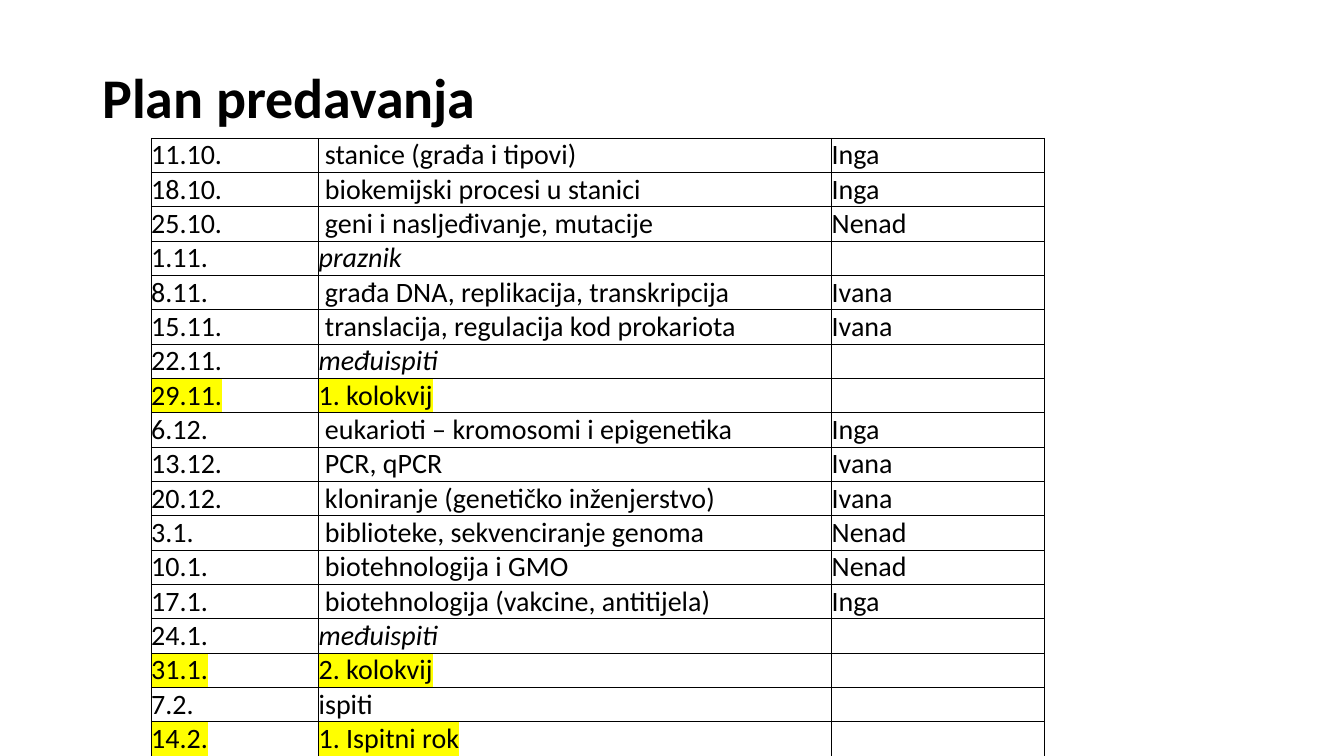
"""Build the lecture plan slide with its schedule table."""
import pptx
import pptx.dml.color
import pptx.enum.text
import pptx.oxml
import pptx.oxml.ns
import pptx.util

Cm = pptx.util.Cm
Pt = pptx.util.Pt

TITLE = "Plan predavanja"
SCHEDULE = [
    ("11.10.", "stanice (građa i tipovi)", "Inga"),
    ("18.10.", "biokemijski procesi u stanici", "Inga"),
    ("25.10.", "geni i nasljeđivanje, mutacije", "Nenad"),
    ("1.11.", "praznik", ""),
    ("8.11.", "građa DNA, replikacija, transkripcija", "Ivana"),
    ("15.11.", "translacija, regulacija kod prokariota", "Ivana"),
    ("22.11.", "međuispiti", ""),
    ("29.11.", "1. kolokvij", ""),
    ("6.12.", "eukarioti – kromosomi i epigenetika", "Inga"),
    ("13.12.", "PCR, qPCR", "Ivana"),
    ("20.12.", "kloniranje (genetičko inženjerstvo)", "Ivana"),
    ("3.1.", "biblioteke, sekvenciranje genoma", "Nenad"),
    ("10.1.", "biotehnologija i GMO", "Nenad"),
    ("17.1.", "biotehnologija (vakcine, antitijela)", "Inga"),
    ("24.1.", "međuispiti", ""),
    ("31.1.", "2. kolokvij", ""),
    ("7.2.", "ispiti", ""),
    ("14.2.", "1. Ispitni rok", ""),
]
BREAKS = {"praznik", "međuispiti"}
EXAMS = {"1. kolokvij", "2. kolokvij", "1. Ispitni rok"}
LECTURE_PREFIX = " "

THEME = {"font": "Calibri", "ink": "000000", "highlight": "FFFF00",
         "title_size": Pt(40), "table_size": Pt(20), "border": Pt(0.5)}
TITLE_BOX = {"left": Cm(2.33), "top": Cm(0.69), "width": Cm(29.21), "height": Cm(3.68)}
TABLE_LEFT, TABLE_TOP = Cm(3.81), Cm(3.48)
COLUMN_WIDTHS = [Cm(4.22), Cm(12.93), Cm(5.36)]
ROW_HEIGHT = Cm(0.81)
ANCHOR = pptx.enum.text.MSO_ANCHOR
CELL_FORMAT = {"margin_left": 0, "margin_right": 0, "margin_top": 0,
               "margin_bottom": 0, "vertical_anchor": ANCHOR.BOTTOM}


def apply_format(target, values):
    """Set each named attribute on the target."""
    for name, value in values.items():
        setattr(target, name, value)


def format_font(font, size, bold=False, italic=False):
    """Apply the theme font and ink."""
    apply_format(font, {"name": THEME["font"], "size": size, "bold": bold, "italic": italic})
    font.color.rgb = pptx.dml.color.RGBColor.from_string(THEME["ink"])


def highlight_run(run):
    """Put the highlight colour behind a run."""
    highlight = pptx.oxml.parse_xml(
        f'<a:highlight {pptx.oxml.ns.nsdecls("a")}>'
        f'<a:srgbClr val="{THEME["highlight"]}"/></a:highlight>')
    run.font.fill._xPr.find(pptx.oxml.ns.qn("a:solidFill")).addnext(highlight)


def format_cell(cell):
    """Clear the fill and draw thin borders on all sides."""
    apply_format(cell, CELL_FORMAT)
    cell.fill.background()
    properties = cell._tc.get_or_add_tcPr()
    for index, side in enumerate("LRTB"):
        properties.insert(index, pptx.oxml.parse_xml(
            f'<a:ln{side} {pptx.oxml.ns.nsdecls("a")} w="{THEME["border"]}">'
            f'<a:solidFill><a:srgbClr val="{THEME["ink"]}"/></a:solidFill></a:ln{side}>'))


def add_title(slide):
    """Fill and place the title."""
    title = slide.shapes.title
    apply_format(title, TITLE_BOX)
    title.text_frame.text = TITLE
    apply_format(title.text_frame, {"vertical_anchor": ANCHOR.MIDDLE, "word_wrap": True,
                                    "auto_size": pptx.enum.text.MSO_AUTO_SIZE.NONE})
    paragraph = title.text_frame.paragraphs[0]
    apply_format(paragraph, {"alignment": pptx.enum.text.PP_ALIGN.LEFT, "line_spacing": 0.9})
    format_font(paragraph.runs[0].font, THEME["title_size"], bold=True)


def add_schedule(slide):
    """Add the table of dates, topics and lecturers."""
    table = slide.shapes.add_table(
        len(SCHEDULE), len(COLUMN_WIDTHS), TABLE_LEFT, TABLE_TOP,
        sum(COLUMN_WIDTHS), ROW_HEIGHT * len(SCHEDULE)).table
    apply_format(table, {"first_row": False, "horz_banding": False})
    for column, width in zip(table.columns, COLUMN_WIDTHS):
        column.width = width
    for row, (date, topic, lecturer) in zip(table.rows, SCHEDULE):
        row.height = ROW_HEIGHT
        shown_topic = LECTURE_PREFIX + topic if lecturer else topic
        for cell, text in zip(row.cells, (date, shown_topic, lecturer)):
            format_cell(cell)
            paragraph = cell.text_frame.paragraphs[0]
            if not text:
                paragraph.font.size = THEME["table_size"]
                continue
            run = paragraph.add_run()
            run.text = text
            format_font(run.font, THEME["table_size"], italic=text in BREAKS)
            if topic in EXAMS:
                highlight_run(run)


def main():
    """Create and save the presentation."""
    presentation = pptx.Presentation()
    apply_format(presentation, {"slide_width": Cm(33.87), "slide_height": Cm(19.05)})
    slide = presentation.slides.add_slide(presentation.slide_layouts.get_by_name("Title Only"))
    add_title(slide)
    add_schedule(slide)
    presentation.save("out.pptx")


if __name__ == "__main__":
    main()
